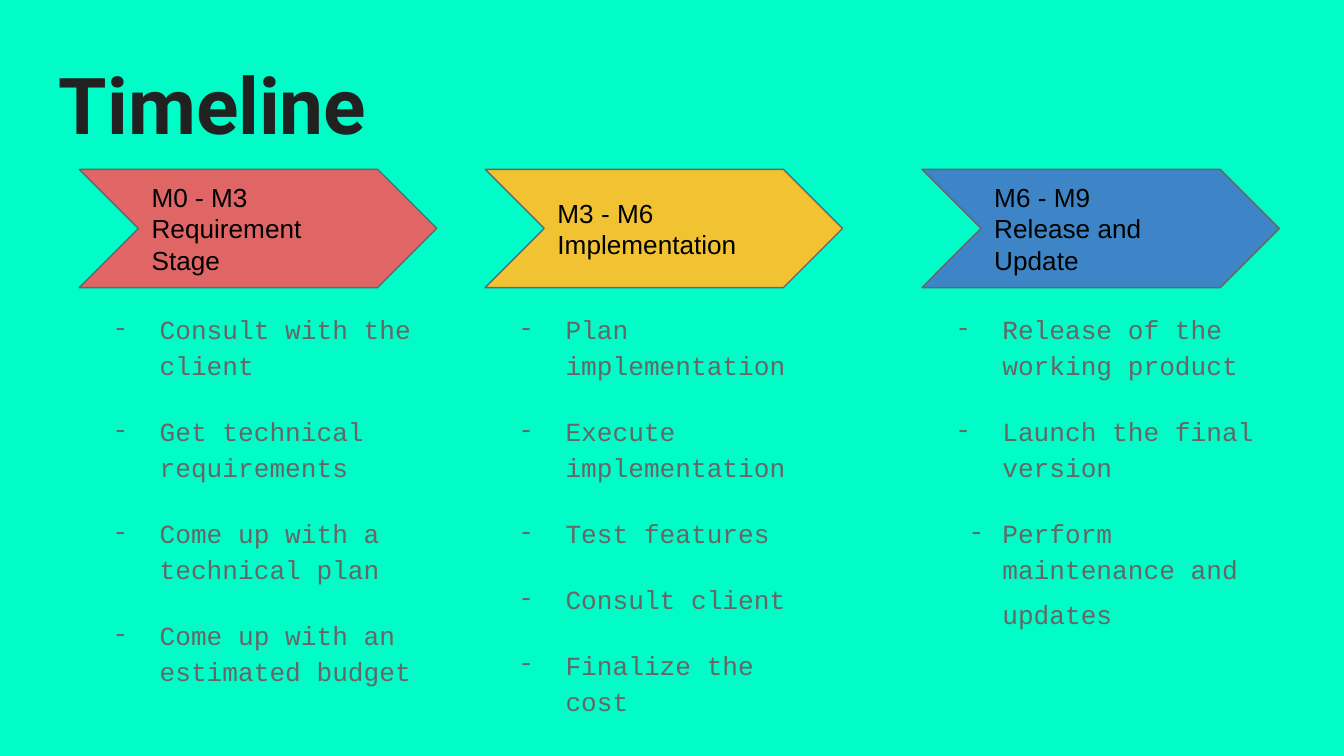
"""Build a timeline slide with three stages and their tasks."""
from lxml.etree import SubElement
from pptx import Presentation
from pptx.dml.color import RGBColor
from pptx.enum.shapes import MSO_SHAPE
from pptx.enum.text import MSO_ANCHOR, PP_ALIGN
from pptx.oxml.ns import qn
from pptx.util import Inches, Pt

MINT = RGBColor(0x00, 0xFD, 0xC8)
INK = RGBColor(0x21, 0x21, 0x21)
GRAY = RGBColor(0x66, 0x66, 0x66)
BLACK = RGBColor(0x00, 0x00, 0x00)
RED = RGBColor(0xE0, 0x66, 0x66)
GOLD = RGBColor(0xF1, 0xC2, 0x32)
BLUE = RGBColor(0x3D, 0x85, 0xC6)
MONO = "Courier New"
WIDTH = 2.66

STAGES = [
    (0.59, RED, ["M0 - M3 Requirement Stage"],
     ["Consult with the client", "Get technical requirements",
      "Come up with a technical plan", "Come up with an estimated budget"]),
    (3.61, GOLD, ["M3 - M6 Implementation"],
     ["Plan implementation", "Execute implementation", "Test features",
      "Consult client", "Finalize the cost"]),
    (6.86, BLUE, ["M6 - M9", "Release and Update"],
     ["Release of the working product", "Launch the final version",
      "Perform maintenance and updates"]),
]


def set_font(font, name, size, color, bold=False):
    font.name, font.size, font.bold = name, Pt(size), bold
    font.color.rgb = color


def set_frame(frame, anchor=MSO_ANCHOR.TOP):
    frame.word_wrap = True
    frame.vertical_anchor = anchor
    frame.margin_left = frame.margin_right = Inches(0.1)
    frame.margin_top = frame.margin_bottom = Inches(0.1)


def add_paras(frame, lines):
    for i, line in enumerate(lines):
        para = frame.paragraphs[0] if i == 0 else frame.add_paragraph()
        para.add_run().text = line
        yield para


def add_box(slide, left, top, width, height):
    box = slide.shapes.add_textbox(
        Inches(left), Inches(top), Inches(width), Inches(height))
    set_frame(box.text_frame)
    return box.text_frame


def add_title(slide, text):
    frame = add_box(slide, 0.34, 0.32, 9.32, 0.88)
    for para in add_paras(frame, [text]):
        set_font(para.font, "Roboto", 42, INK, True)


def add_arrow(slide, left, color, lines):
    arrow = slide.shapes.add_shape(
        MSO_SHAPE.CHEVRON, Inches(left), Inches(1.26), Inches(WIDTH), Inches(0.88))
    arrow.shadow.inherit = False
    arrow.fill.solid()
    arrow.fill.fore_color.rgb = color
    arrow.line.color.rgb = GRAY
    arrow.line.width = Pt(0.75)
    set_frame(arrow.text_frame, MSO_ANCHOR.MIDDLE)
    for para in add_paras(arrow.text_frame, lines):
        para.alignment = PP_ALIGN.LEFT
        set_font(para.font, "Arial", 14, BLACK)


def set_bullet(para, hang):
    props = para._p.get_or_add_pPr()
    props.set("marL", str(Inches(0.5)))
    props.set("indent", str(-Inches(hang)))
    tint = SubElement(props, qn("a:buClr"))
    SubElement(tint, qn("a:srgbClr")).set("val", str(GRAY))
    SubElement(props, qn("a:buSzPts")).set("val", "1400")
    SubElement(props, qn("a:buFont")).set("typeface", MONO)
    SubElement(props, qn("a:buChar")).set("char", "-")


def add_tasks(slide, left, tasks):
    paras = list(add_paras(add_box(slide, left, 2.2, WIDTH, 2.99), tasks))
    for para in paras:
        para.line_spacing = 1.15
        para.space_after = Pt(16)
        set_bullet(para, 0.35)
        set_font(para.font, MONO, 14, GRAY)
    return paras


def main():
    deck = Presentation()
    deck.slide_width = Inches(10)
    deck.slide_height = deck.slide_width * 9 // 16
    slide = deck.slides.add_slide(deck.slide_layouts[6])
    slide.background.fill.solid()
    slide.background.fill.fore_color.rgb = MINT
    add_title(slide, "Timeline")
    for left, color, label, tasks in STAGES:
        paras = add_tasks(slide, left, tasks)
        add_arrow(slide, left, color, label)
    last = paras[-1]
    last._p.pPr.set("indent", str(-Inches(0.25)))
    tail = last.add_run()
    tail.text = " "
    tail.font.size = Pt(18)
    deck.save("out.pptx")


if __name__ == "__main__":
    main()
